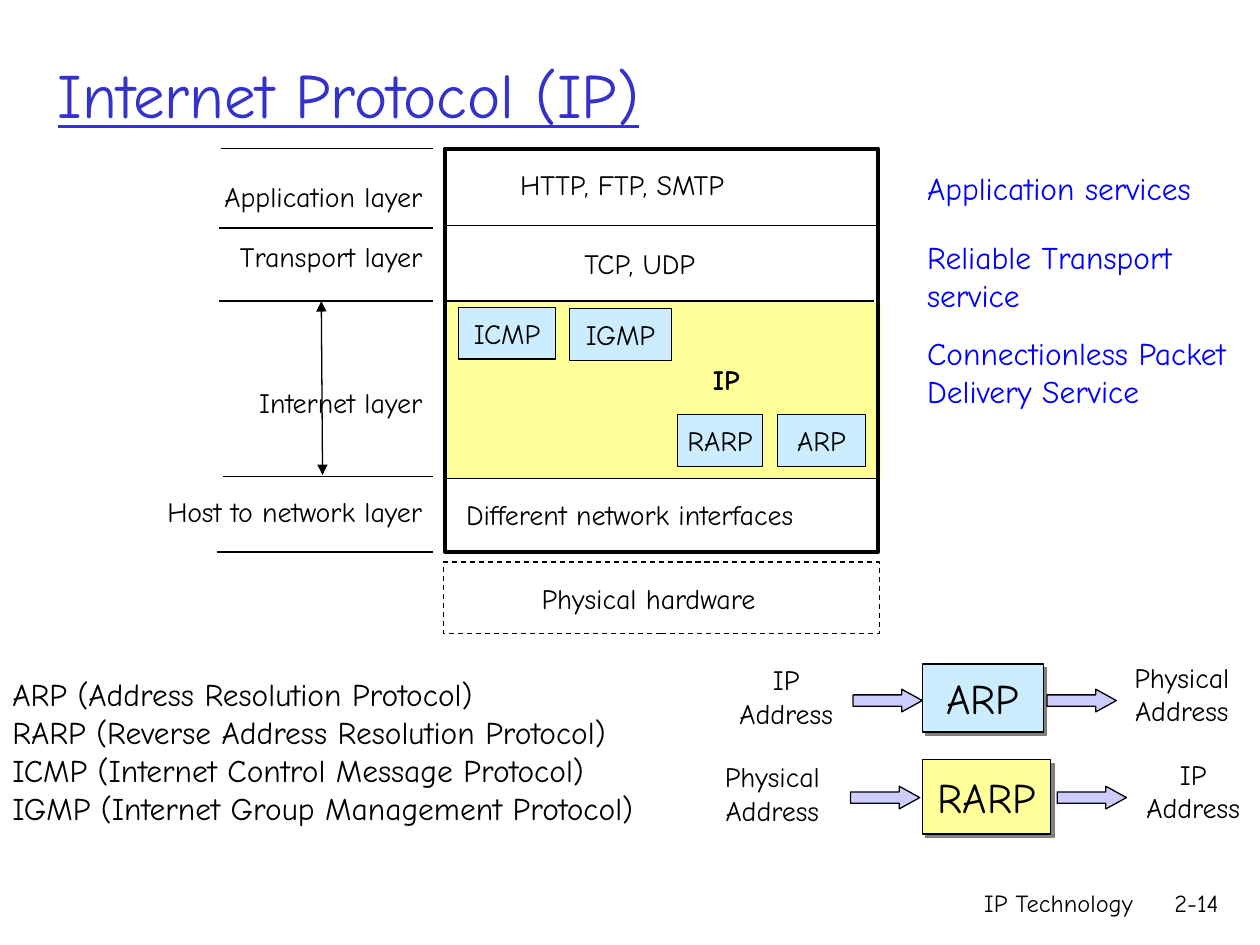
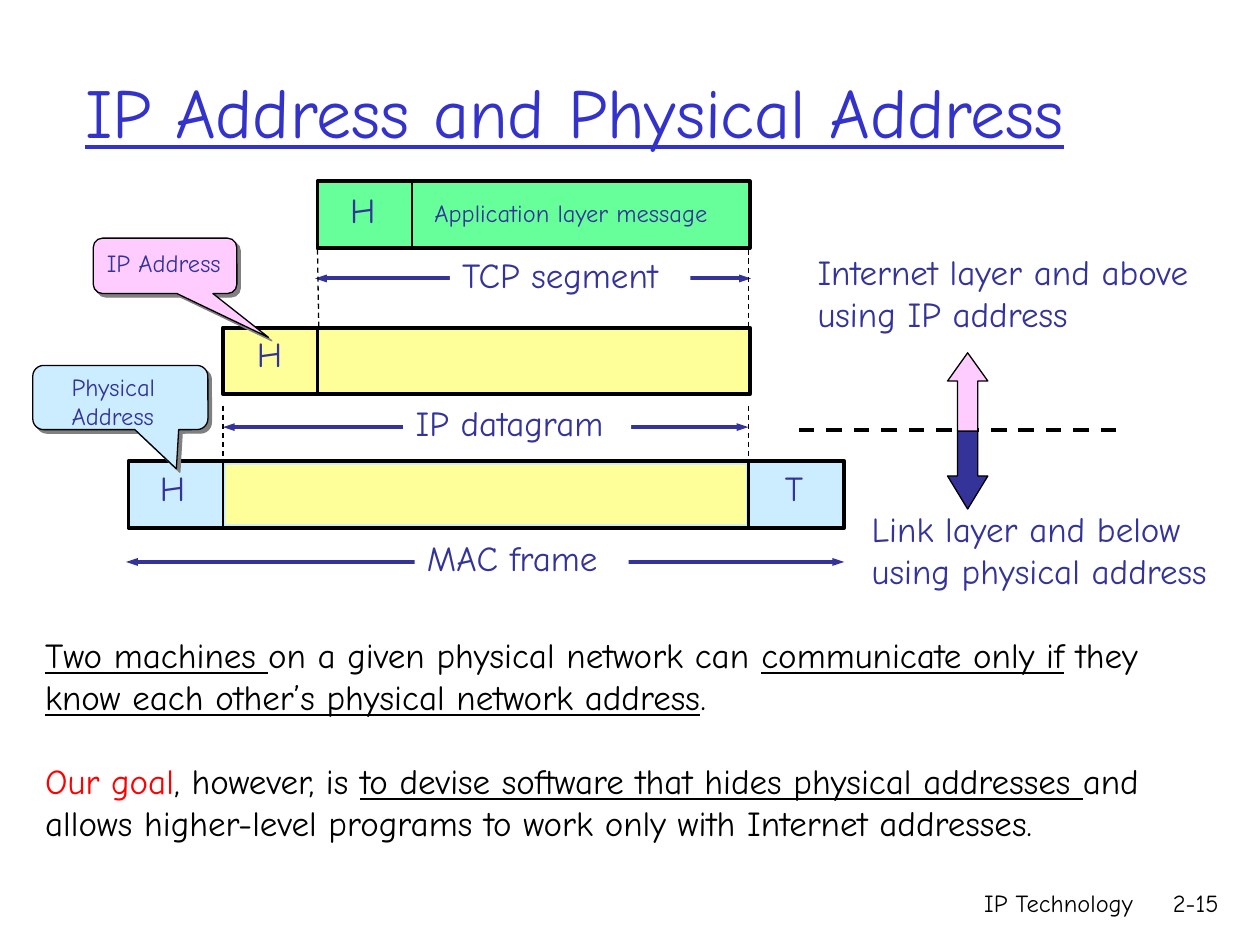
from dataclasses import dataclass
from typing import Optional

from lxml.etree import SubElement
from pptx import Presentation
from pptx.dml.color import RGBColor
from pptx.enum.dml import MSO_LINE
from pptx.enum.shapes import MSO_CONNECTOR, MSO_SHAPE as Preset
from pptx.enum.text import MSO_ANCHOR as Anchor, MSO_AUTO_SIZE as AutoSize, PP_ALIGN as Align
from pptx.oxml.ns import qn
from pptx.util import Inches, Pt

FONT = "Comic Neue"
COLOURS = {
    "black": "000000", "white": "FFFFFF", "title": "3333CC", "navy": "333399",
    "blue": "0000FF", "red": "FF0000", "yellow": "FFFF99", "sky": "CCECFF",
    "green": "66FF99", "pink": "FFCCFF", "lilac": "CCCCFF", "grey": "EAEAEA",
    "shadow": "808080",
}


@dataclass
class Box:
    """A shape or, without a preset, a text box; one paragraph per text line."""
    left: float
    top: float
    width: float
    height: float
    text: str = ""
    size: float = 16
    colour: str = "black"
    align: Align = Align.LEFT
    anchor: Anchor = Anchor.TOP
    bold: bool = False
    underline: bool = False
    wrap: bool = False
    grow: bool = True
    spacing: Optional[float] = None
    preset: Optional[Preset] = None
    fill: Optional[str] = None
    outline: Optional[str] = None
    weight: float = 0.75
    dashed: bool = False
    shadow: bool = False
    adjustments: tuple[float, ...] = ()


@dataclass
class Line:
    x1: float
    y1: float
    x2: float
    y2: float
    weight: float = 0.75
    colour: str = "black"
    dashed: bool = False
    head_width: Optional[str] = None


@dataclass
class Run:
    text: str
    underline: bool = False
    colour: str = "black"


def rgb(name: str) -> RGBColor:
    return RGBColor.from_string(COLOURS[name])


def add_run(paragraph, text: str, size: float, colour: str,
            bold: bool = False, underline: bool = False) -> None:
    run = paragraph.add_run()
    run.text = text
    font = run.font
    font.name, font.size, font.bold, font.underline = FONT, Pt(size), bold, underline
    font.color.rgb = rgb(colour)


def add_shadow(shape) -> None:
    effects = shape._element.spPr.find(qn("a:effectLst"))
    outer = SubElement(effects, qn("a:outerShdw"), dist=str(Pt(2.8)),
                       dir="2700000", algn="ctr", rotWithShape="0")
    SubElement(outer, qn("a:srgbClr"), val=COLOURS["shadow"])


def draw_box(slide, box: Box):
    place = [Inches(v) for v in (box.left, box.top, box.width, box.height)]
    if box.preset is None:
        shape = slide.shapes.add_textbox(*place)
    else:
        shape = slide.shapes.add_shape(box.preset, *place)
        for index, value in enumerate(box.adjustments):
            shape.adjustments[index] = value
        if box.fill:
            shape.fill.solid()
            shape.fill.fore_color.rgb = rgb(box.fill)
        else:
            shape.fill.background()
        if box.outline:
            shape.line.color.rgb = rgb(box.outline)
            shape.line.width = Pt(box.weight)
            if box.dashed:
                shape.line.dash_style = MSO_LINE.DASH
        else:
            shape.line.fill.background()
        shape.shadow.inherit = False
        if box.shadow:
            add_shadow(shape)
    frame = shape.text_frame
    frame.word_wrap = box.wrap
    frame.vertical_anchor = box.anchor
    if box.text:
        if box.grow:
            frame.auto_size = AutoSize.SHAPE_TO_FIT_TEXT
        for index, text in enumerate(box.text.split("\n")):
            paragraph = frame.add_paragraph() if index else frame.paragraphs[0]
            paragraph.alignment = box.align
            if box.spacing:
                paragraph.line_spacing = box.spacing
            add_run(paragraph, text, box.size, box.colour, box.bold, box.underline)
    return shape


def draw_line(slide, line: Line) -> None:
    ends = [Inches(v) for v in (line.x1, line.y1, line.x2, line.y2)]
    connector = slide.shapes.add_connector(MSO_CONNECTOR.STRAIGHT, *ends)
    connector.line.color.rgb = rgb(line.colour)
    connector.line.width = Pt(line.weight)
    if line.dashed:
        connector.line.dash_style = MSO_LINE.DASH
    if line.head_width:
        outline = connector.line._get_or_add_ln()
        for end in ("a:headEnd", "a:tailEnd"):
            SubElement(outline, qn(end), type="triangle", w=line.head_width, len="med")
    SubElement(connector._element.spPr, qn("a:effectLst"))


def draw(slide, *items: Box | Line) -> None:
    for item in items:
        draw_line(slide, item) if isinstance(item, Line) else draw_box(slide, item)


def rect(left: float, top: float, width: float, height: float, **options) -> Box:
    return Box(left, top, width, height, preset=Preset.RECTANGLE, **options)


def protocol(left: float, top: float, width: float, height: float, text: str, **options) -> Box:
    settings = dict(fill="sky", outline="black", align=Align.CENTER,
                    anchor=Anchor.MIDDLE, grow=False) | options
    return rect(left, top, width, height, text=text, **settings)


def new_slide(presentation, title: Box, number: str):
    slide = presentation.slides.add_slide(presentation.slide_layouts[6])
    title.colour, title.underline, title.wrap = "title", True, True
    title.anchor, title.grow = Anchor.MIDDLE, False
    footer = dict(size=14, align=Align.RIGHT, wrap=True, grow=False)
    draw(slide, title, Box(5.92, 7, 3.17, 0.5, "IP Technology", **footer),
         Box(8.98, 7, 0.79, 0.5, number, **footer))
    return slide


def build_protocol_slide(presentation) -> None:
    slide = new_slide(presentation, Box(0.36, 0, 7.84, 1.48, "Internet Protocol (IP)", 36), "2-14")

    # Layer stack and its dividers
    draw(slide, rect(3.55, 2.4, 3.44, 1.4, fill="yellow"),
         rect(3.53, 1.18, 3.44, 3.2, outline="black", weight=2.25),
         rect(3.52, 4.46, 3.46, 0.57, outline="black", dashed=True))
    for y, right in ((1.79, 6.97), (2.39, 6.94), (3.8, 6.95)):
        draw(slide, Line(3.53, y, right, y))
    for left, y in ((1.75, 1.18), (1.74, 1.81), (1.74, 2.39), (1.77, 3.78), (1.72, 4.38)):
        draw(slide, Line(left, y, 3.44, y))
    draw(slide, Line(2.55, 2.39, 2.56, 3.77, head_width="med"))

    # Layer names, right-aligned on one edge
    for top, width, text in ((1.38, 1.96, "Application layer"), (1.85, 1.85, "Transport layer"),
                             (3.01, 1.72, "Internet layer")):
        draw(slide, Box(3.45 - width, top, width, 0.37, text, align=Align.RIGHT))
    draw(slide, Box(0.95, 3.94, 2.5, 0.3, "Host to network layer", align=Align.RIGHT, spacing=0.75))

    # Contents of each layer
    draw(slide, Box(4.03, 1.28, 2.15, 0.37, "HTTP, FTP, SMTP"),
         Box(4.54, 1.91, 1.18, 0.37, "TCP, UDP"),
         Box(5.56, 2.83, 0.44, 0.37, "IP", bold=True),
         Box(3.6, 3.9, 3.31, 0.37, "Different network interfaces"),
         Box(4.2, 4.57, 2.09, 0.37, "Physical hardware"))
    for left, top, width, text in ((3.64, 2.44, 0.77, "ICMP"), (4.52, 2.45, 0.81, "IGMP"),
                                   (5.38, 3.29, 0.67, "RARP"), (6.17, 3.29, 0.7, "ARP")):
        draw(slide, protocol(left, top, width, 0.41, text))

    # Services on the right
    for top, width, height, text in ((1.29, 2.74, 0.4, "Application services"),
                                     (1.84, 2.58, 0.71, "Reliable Transport service"),
                                     (2.6, 2.58, 1.01, "Connectionless Packet Delivery Service")):
        draw(slide, rect(7.26, top, width, height, text=text, size=18, colour="blue",
                         fill="white", outline="white", weight=2, wrap=True))

    # Acronyms
    draw(slide, Box(0, 5.31, 5.62, 1.31, "ARP (Address Resolution Protocol)\n"
                    "RARP (Reverse Address Resolution Protocol)\n"
                    "ICMP (Internet Control Message Protocol)\n"
                    "IGMP (Internet Group Management Protocol)", 18, wrap=True))

    # Address translation: input, arrow, protocol, arrow, output
    mapping = dict(size=24, shadow=True)
    draw(slide, protocol(7.32, 5.27, 0.96, 0.54, "ARP", **mapping),
         protocol(7.32, 6.03, 1.02, 0.59, "RARP", fill="yellow", **mapping))
    for left, top in ((6.77, 5.47), (8.31, 5.47), (6.75, 6.24), (8.39, 6.24)):
        draw(slide, Box(left, top, 0.55, 0.18, preset=Preset.RIGHT_ARROW, fill="lilac",
                        outline="black", adjustments=(0.5, 0.91)))
    for left, top, kind in ((5.69, 5.21, "IP"), (8.83, 5.19, "Physical"),
                            (5.58, 5.98, "Physical"), (8.92, 5.96, "IP")):
        draw(slide, Box(left, top, 1.1, 0.64, f"{kind}\nAddress", align=Align.CENTER))


def build_address_slide(presentation) -> None:
    slide = new_slide(presentation,
                      Box(0.58, 0.25, 8.93, 1.25, "IP Address and Physical Address", 40), "2-15")

    # Length arrows with their names
    for x1, x2, y, left, width, text in ((1, 6.7, 4.46, 3.29, 1.7, "MAC frame"),
                                         (1.77, 5.94, 3.39, 3.2, 1.81, "IP datagram"),
                                         (2.5, 5.96, 2.21, 3.57, 1.91, "TCP segment")):
        draw(slide, Line(x1, y, x2, y, 2.25, "navy", head_width="sm"),
             rect(left, y - 0.25, width, 0.44, text=text, size=20, colour="navy", fill="white"))

    # Dashed guides between units and the layer boundary
    for x1, x2, top, bottom in ((1.77, 1.77, 3.22, 3.66), (5.94, 5.94, 3.22, 3.66),
                                (2.52, 2.53, 1.98, 2.6), (5.94, 5.94, 1.98, 2.6)):
        draw(slide, Line(x1, top, x2, bottom, dashed=True))
    draw(slide, Line(6.34, 3.41, 8.86, 3.41, 2.25, dashed=True))

    # Segment, datagram and frame
    draw(slide, rect(1.03, 3.69, 0.75, 0.5, fill="grey"))
    for left, top, width, fill, dividers in ((2.52, 1.44, 3.43, "green", (3.27,)),
                                             (1.77, 2.6, 4.18, "yellow", (2.52,)),
                                             (1.02, 3.66, 5.68, "sky", (1.77, 5.94))):
        draw(slide, rect(left, top, width, 0.53, fill=fill, outline="black", weight=2.25))
        for x in dividers:
            draw(slide, Line(x, top, x, top + 0.53, 1.5))
    draw(slide, rect(1.79, 3.69, 4.13, 0.47, fill="yellow"),
         Box(3.35, 1.52, 2.56, 0.34, "Application layer message", 14, "navy"))
    for left, top, text in ((2.68, 1.45, "H"), (1.94, 2.59, "H"), (1.17, 3.65, "H"), (6.13, 3.65, "T")):
        draw(slide, Box(left, top, 0.42, 0.44, text, 20, "navy"))

    # Callouts
    callout = dict(preset=Preset.ROUNDED_RECTANGULAR_CALLOUT, outline="black", shadow=True)
    draw(slide, Box(0.26, 2.9, 1.39, 0.51, fill="sky", adjustments=(0.32, 1.11, 0.17), **callout),
         Box(0.47, 2.9, 0.99, 0.57, "Physical\nAddress", 14, "navy"),
         Box(0.74, 1.89, 1.14, 0.44, fill="pink", adjustments=(0.72, 1.29, 0.17), **callout),
         Box(0.75, 1.92, 1.24, 0.34, "IP Address", 14, "navy"))

    # Which address is used above and below the boundary
    draw(slide, Box(7.52, 3.42, 0.32, 0.62, preset=Preset.DOWN_ARROW, fill="navy",
                    outline="black", adjustments=(0.5, 0.82)),
         Box(7.52, 2.8, 0.32, 0.62, preset=Preset.UP_ARROW, fill="pink",
             outline="black", adjustments=(0.5, 0.7)),
         Box(6.39, 1.94, 3.47, 0.77, "Internet layer and above\nusing IP address", 20, "navy"),
         Box(6.82, 3.98, 3.1, 0.77, "Link layer and below\nusing physical address", 20, "navy"))

    # Conclusion
    conclusion = (
        (Run("Two machines ", True), Run("on a given physical network can "),
         Run("communicate only if", True), Run(" they "),
         Run("know each other’s physical network address", True), Run(".")),
        (Run("Our goal", colour="red"), Run(", however, is "),
         Run("to devise software that hides physical addresses ", True),
         Run("and allows higher-level programs to work only with Internet addresses.")),
    )
    frame = draw_box(slide, Box(0.26, 4.98, 9.5, 1.78, wrap=True)).text_frame
    for index, runs in enumerate(conclusion):
        paragraph = frame.add_paragraph() if index else frame.paragraphs[0]
        paragraph.space_before = Pt(24 * index)
        for run in runs:
            add_run(paragraph, run.text, 20, run.colour, underline=run.underline)


def main() -> None:
    presentation = Presentation()
    presentation.slide_width, presentation.slide_height = Inches(10), Inches(7.5)
    build_protocol_slide(presentation)
    build_address_slide(presentation)
    presentation.save("out.pptx")


if __name__ == "__main__":
    main()
